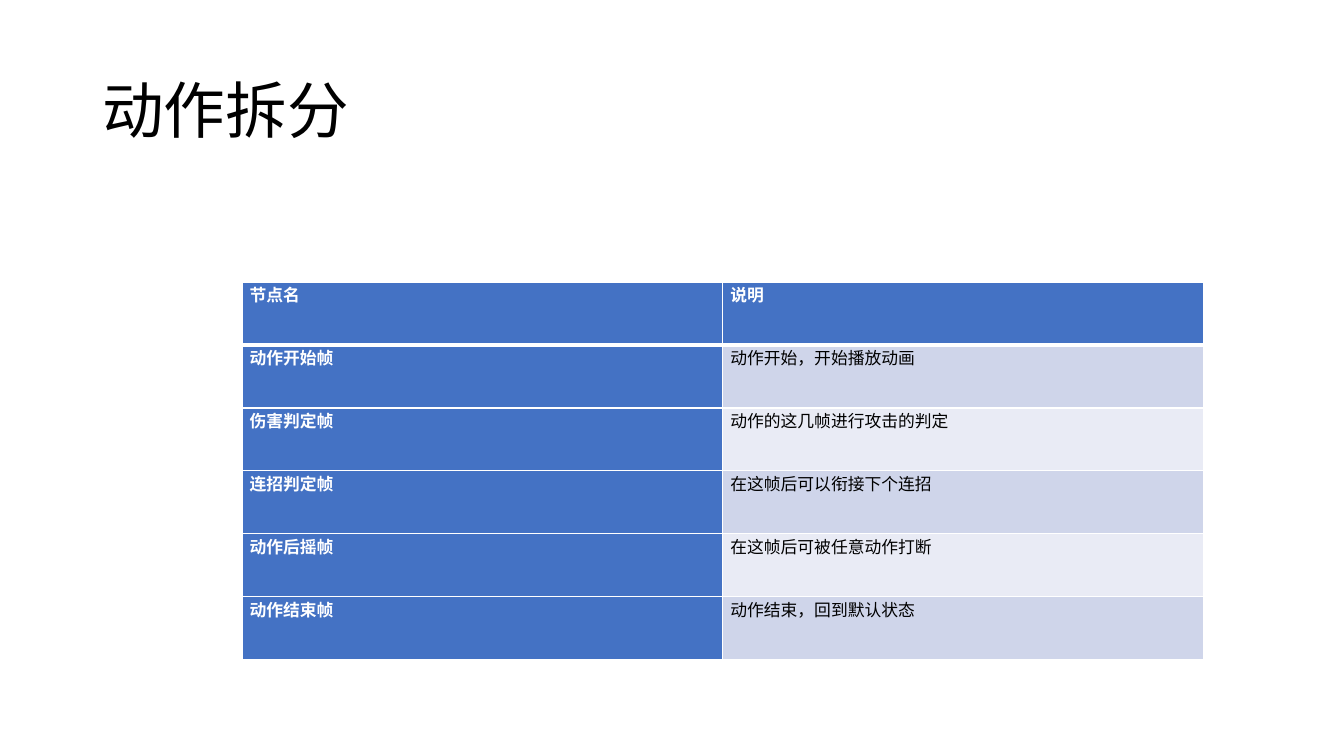
from lxml import etree
from pptx import Presentation
from pptx.dml.color import RGBColor
from pptx.enum.text import MSO_ANCHOR
from pptx.oxml.ns import qn
from pptx.util import Cm, Pt

MIDDLE = MSO_ANCHOR.MIDDLE
FONT = "Noto Sans CJK SC"
COLORS = {
    "black": "000000",
    "white": "FFFFFF",
    "blue": "4472C4",
    "band_dark": "CFD5EA",
    "band_light": "E9EBF5",
}
ROWS = [
    ("节点名", "说明"),
    ("动作开始帧", "动作开始，开始播放动画"),
    ("伤害判定帧", "动作的这几帧进行攻击的判定"),
    ("连招判定帧", "在这帧后可以衔接下个连招"),
    ("动作后摇帧", "在这帧后可被任意动作打断"),
    ("动作结束帧", "动作结束，回到默认状态"),
]


def style_text(paragraph, size, color, bold=False):
    for span in paragraph.runs:
        span.font.size = Pt(size)
        span.font.bold = bold
        span.font.name = FONT
        span.font.color.rgb = RGBColor.from_string(COLORS[color])
        east_asian = etree.SubElement(span.font._element, qn("a:ea"))
        east_asian.set("typeface", FONT)


def add_border(cell, side, width):
    """Draw a white line on one side (L, R, T or B) of a cell."""
    line = etree.SubElement(cell._tc.get_or_add_tcPr(), qn(f"a:ln{side}"), w=str(Pt(width)))
    fill = etree.SubElement(line, qn("a:solidFill"))
    etree.SubElement(fill, qn("a:srgbClr"), val=COLORS["white"])


deck = Presentation()
deck.slide_width = Cm(33.87)
deck.slide_height = Cm(19.05)
page = deck.slides.add_slide(deck.slide_layouts[6])

# Title
title_box = page.shapes.add_textbox(Cm(2.33), Cm(1.01), Cm(29.21), Cm(3.68))
title_frame = title_box.text_frame
title_frame.word_wrap = True
title_frame.vertical_anchor = MIDDLE
title_frame.text = "动作拆分"
title = title_frame.paragraphs[0]
title.line_spacing = 0.9
style_text(title, 44, "black")

# Table of action frames
frame_table = page.shapes.add_table(
    len(ROWS), 2, Cm(6.1), Cm(7.11), Cm(24.23), Cm(9.51)
).table
frame_table.first_col = True

for row_index, row in enumerate(ROWS):
    for column_index, text in enumerate(row):
        cell = frame_table.cell(row_index, column_index)
        cell.margin_left = cell.margin_right = Cm(0.19)
        cell.margin_top = cell.margin_bottom = 0
        cell.text = text

        is_heading = row_index == 0 or column_index == 0
        style_text(
            cell.text_frame.paragraphs[0], 12, "white" if is_heading else "black", is_heading
        )

        add_border(cell, "L", 1)
        add_border(cell, "R", 1)
        add_border(cell, "T", 3 if row_index == 1 else 1)
        add_border(cell, "B", 3 if row_index == 0 else 1)

        band = "band_dark" if row_index % 2 else "band_light"
        cell.fill.solid()
        cell.fill.fore_color.rgb = RGBColor.from_string(COLORS["blue" if is_heading else band])

deck.save("out.pptx")
